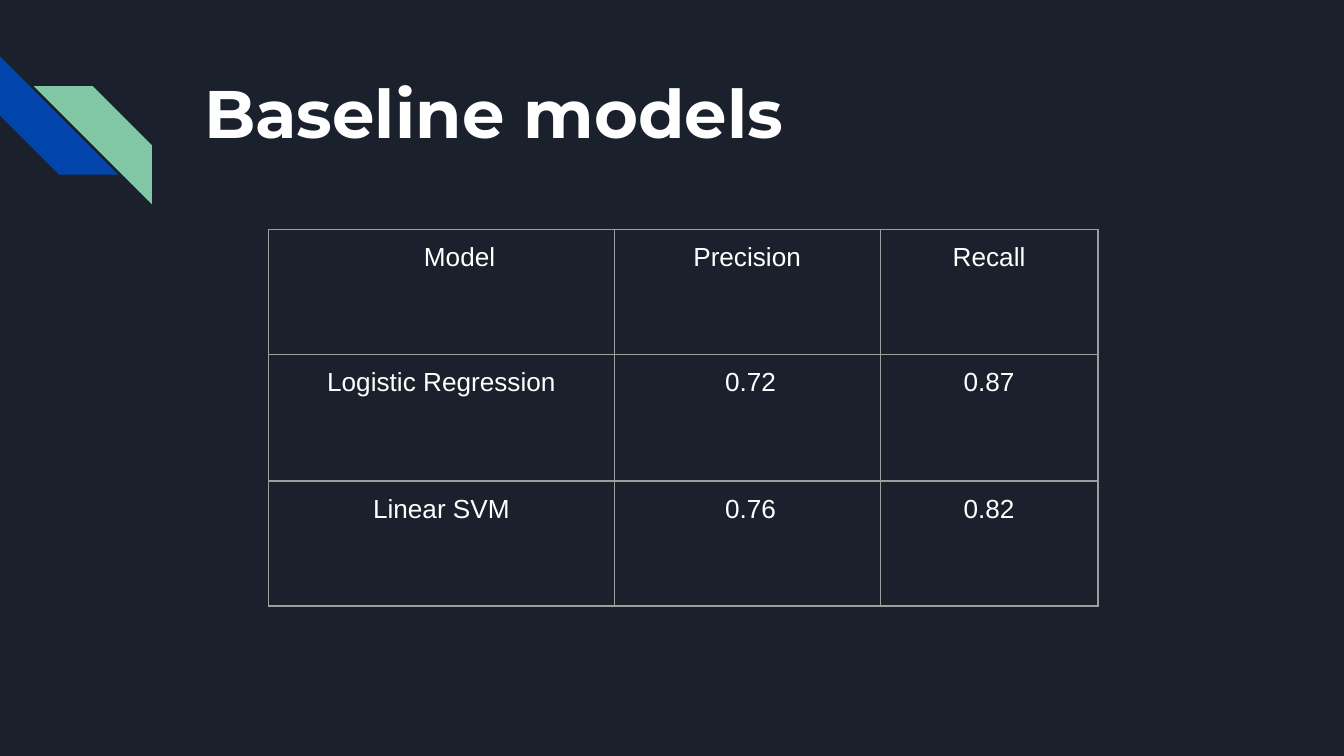
from lxml import etree
from pptx import Presentation
from pptx.dml.color import RGBColor
from pptx.enum import shapes, text
from pptx.oxml.ns import qn
from pptx.util import Inches, Pt

COLORS = {"background": "1B212C", "blue": "0145AC", "green": "82C7A5",
          "white": "FFFFFF", "border": "9E9E9E"}


def style_span(span, font, size, bold=False):
    span.font.name = font
    span.font.size = Pt(size)
    span.font.bold = bold
    span.font.color.rgb = RGBColor.from_string(COLORS["white"])


def add_borders(cell):
    properties = cell._tc.get_or_add_tcPr()
    for position, side in enumerate(("a:lnL", "a:lnR", "a:lnT", "a:lnB")):
        line = etree.Element(qn(side), w=str(Pt(0.75)))
        fill = etree.SubElement(line, qn("a:solidFill"))
        etree.SubElement(fill, qn("a:srgbClr"), val=COLORS["border"])
        properties.insert(position, line)


# Widescreen page, 16 to 9
deck = Presentation()
deck.slide_width = Inches(10)
deck.slide_height = Inches(10 * 9 / 16)
page = deck.slides.add_slide(deck.slide_layouts[6])
page.background.fill.solid()
page.background.fill.fore_color.rgb = RGBColor.from_string(COLORS["background"])

# Diagonal stripes at the left edge
for color, left, top, rotation, flipped in (("blue", 0, 0.42, 270, False),
                                            ("green", 0.25, 0.64, 0, True)):
    stripe = page.shapes.add_shape(shapes.MSO_SHAPE.DIAGONAL_STRIPE, Inches(left),
                                   Inches(top), Inches(0.88), Inches(0.88))
    stripe.adjustments[0] = 0.5
    stripe.rotation = rotation
    if flipped:
        stripe._element.spPr.xfrm.set("flipH", "1")
    stripe.fill.solid()
    stripe.fill.fore_color.rgb = RGBColor.from_string(COLORS[color])
    stripe.line.fill.background()
    stripe.shadow.inherit = False

# Title
title = page.shapes.add_textbox(Inches(1.42), Inches(0.43), Inches(7.7), Inches(1))
frame = title.text_frame
frame.word_wrap = True
frame.margin_left = frame.margin_right = Inches(0.1)
frame.margin_top = frame.margin_bottom = Inches(0.1)
frame.text = "Baseline models"
style_span(frame.paragraphs[0].runs[0], "Montserrat", 36, bold=True)

# Results table
results = [("Model", "Precision", "Recall"),
           ("Logistic Regression", "0.72", "0.87"),
           ("Linear SVM", "0.76", "0.82")]
column_widths = (2.57, 1.98, 1.62)
row_heights = (0.93, 0.94, 0.93)
extra_left = {(0, 0): 0.27, (1, 1): 0.05, (2, 1): 0.05}  # nudges to the right

table = page.shapes.add_table(3, 3, Inches(2), Inches(1.71), Inches(sum(column_widths)),
                              Inches(sum(row_heights))).table
table.first_row = table.horz_banding = False
for column, width in zip(table.columns, column_widths):
    column.width = Inches(width)
for row, height in zip(table.rows, row_heights):
    row.height = Inches(height)

for row_number, values in enumerate(results):
    for column_number, value in enumerate(values):
        cell = table.cell(row_number, column_number)
        cell.fill.background()
        cell.margin_left = Inches(0.1 + extra_left.get((row_number, column_number), 0))
        cell.margin_right = cell.margin_top = cell.margin_bottom = Inches(0.1)
        cell.text_frame.text = value
        para = cell.text_frame.paragraphs[0]
        para.alignment = text.PP_ALIGN.CENTER
        style_span(para.runs[0], "Arial", 14)
        add_borders(cell)

deck.save("out.pptx")
